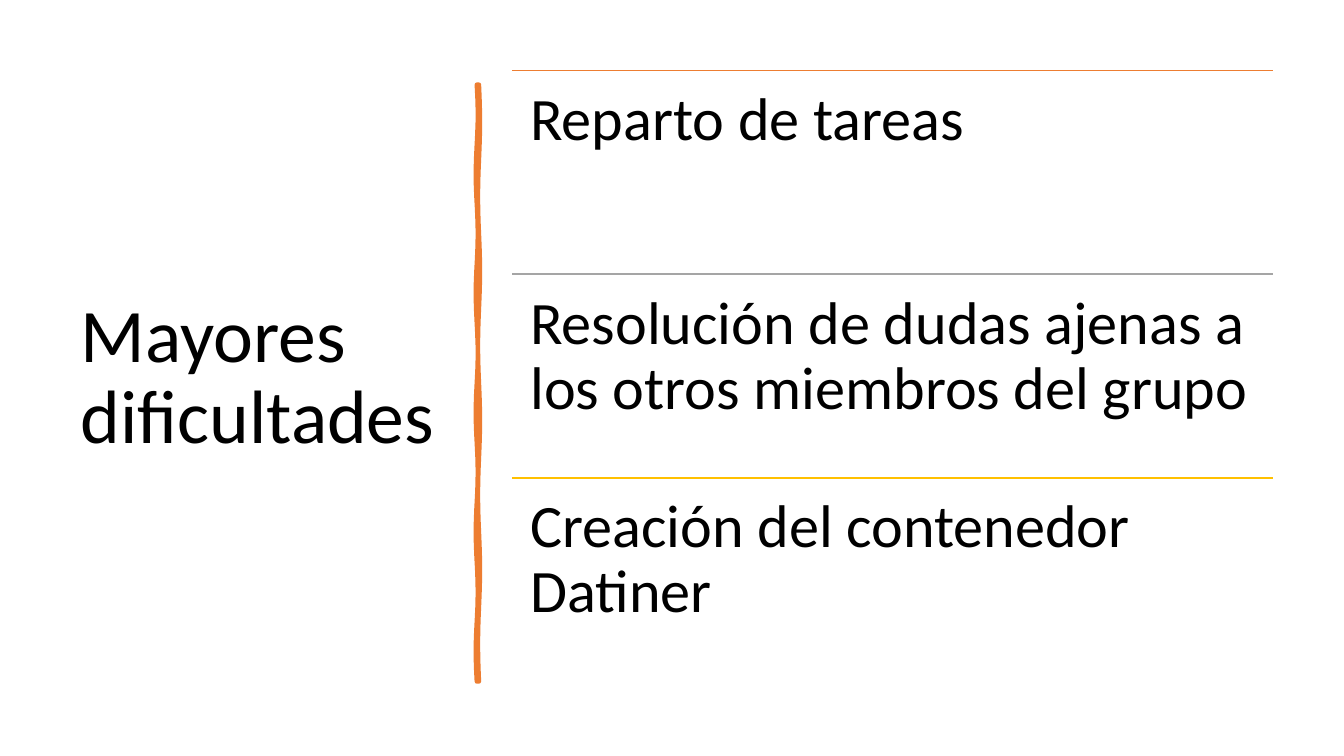
"""Build the slide on the main difficulties of the project."""
from math import pi, sin

from lxml import etree
from pptx import Presentation
from pptx.dml.color import RGBColor
from pptx.enum.shapes import MSO_CONNECTOR
from pptx.enum.text import MSO_ANCHOR, MSO_AUTO_SIZE, PP_ALIGN
from pptx.oxml.ns import qn
from pptx.util import Inches, Pt

STRAIGHT = MSO_CONNECTOR.STRAIGHT
TOP, MIDDLE = MSO_ANCHOR.TOP, MSO_ANCHOR.MIDDLE
LEFT = PP_ALIGN.LEFT
NO_AUTOFIT = MSO_AUTO_SIZE.NONE

TITLE = "Mayores dificultades"
DIFFICULTIES = [
    ("Reparto de tareas", "orange"),
    ("Resolución de dudas ajenas a los otros miembros del grupo", "grey"),
    ("Creación del contenedor Datiner", "yellow"),
]

THEME = {
    "font": "Calibri", "title_size": 54, "item_size": 43, "line_spacing": 0.9,
    "divider_width": 3.25, "rule_width": 1.25,
    "black": RGBColor.from_string("000000"),
    "orange": RGBColor.from_string("ED7D31"),
    "grey": RGBColor.from_string("A5A5A5"),
    "yellow": RGBColor.from_string("FFC000"),
}

SLIDE_WIDTH, SLIDE_HEIGHT = 13.33, 7.5
TITLE_AREA = (0.7, 0.7, 3.74, 6.11)
TITLE_INSET, ITEM_INSET = 0.1, 0.18
LIST_LEFT, LIST_TOP, LIST_WIDTH, LIST_HEIGHT = 5.08, 0.7, 7.55, 6.06
ROW_HEIGHT = LIST_HEIGHT / len(DIFFICULTIES)

DIVIDER_CENTER, DIVIDER_TOP, DIVIDER_HEIGHT = 4.74, 0.84, 5.92
DIVIDER_HALF_WIDTH, WOBBLE = 0.01, 0.01
DIVIDER_STEPS, RIGHT_WAVES, LEFT_WAVES = 48, 4, 5


def wavy_edge(offset, waves):
    """Return the points of one divider edge, from top to bottom."""
    shares = [step / DIVIDER_STEPS for step in range(DIVIDER_STEPS + 1)]
    return [
        (Inches(DIVIDER_CENTER + offset + WOBBLE * sin(2 * pi * waves * share)),
         Inches(DIVIDER_TOP + DIVIDER_HEIGHT * share))
        for share in shares
    ]


def add_divider(page):
    """Draw the upright stroke between the title and the list."""
    right_edge = wavy_edge(DIVIDER_HALF_WIDTH, RIGHT_WAVES)
    left_edge = wavy_edge(-DIVIDER_HALF_WIDTH, LEFT_WAVES)
    outline = right_edge + left_edge[::-1]
    builder = page.shapes.build_freeform(*outline[0])
    builder.add_line_segments(outline[1:], close=True)
    divider = builder.convert_to_shape()
    divider.shadow.inherit = False
    divider.fill.solid()
    divider.fill.fore_color.rgb = THEME["orange"]
    divider.line.color.rgb = THEME["orange"]
    divider.line.width = Pt(THEME["divider_width"])
    etree.SubElement(divider.element.spPr.find(qn("a:ln")), qn("a:round"))


def add_rule(page, top, color_name):
    """Draw the thin line above one list row."""
    left, right = Inches(LIST_LEFT), Inches(LIST_LEFT + LIST_WIDTH)
    rule = page.shapes.add_connector(STRAIGHT, left, Inches(top), right, Inches(top))
    rule.line.color.rgb = THEME[color_name]
    rule.line.width = Pt(THEME["rule_width"])
    etree.SubElement(rule.element.spPr, qn("a:effectLst"))


def write(box, text, size, anchor, inset_x, inset_y):
    """Fill a box with one left-aligned paragraph."""
    frame = box.text_frame
    frame.word_wrap = True
    frame.auto_size = NO_AUTOFIT
    frame.vertical_anchor = anchor
    frame.margin_left = frame.margin_right = Inches(inset_x)
    frame.margin_top = frame.margin_bottom = Inches(inset_y)
    para = frame.paragraphs[0]
    para.alignment = LEFT
    para.line_spacing = THEME["line_spacing"]
    span = para.add_run()
    span.text = text
    span.font.name = THEME["font"]
    span.font.size = Pt(size)
    span.font.color.rgb = THEME["black"]


def add_title(page):
    """Move the title placeholder to the left column and fill it."""
    title = page.shapes.title
    title.left, title.top, title.width, title.height = map(Inches, TITLE_AREA)
    write(title, TITLE, THEME["title_size"], MIDDLE, TITLE_INSET, TITLE_INSET / 2)


def add_difficulties(page):
    """Stack the difficulties in equal rows, each under its own rule."""
    for row, (difficulty, color_name) in enumerate(DIFFICULTIES):
        top = LIST_TOP + row * ROW_HEIGHT
        add_rule(page, top, color_name)
        area = map(Inches, (LIST_LEFT, top, LIST_WIDTH, ROW_HEIGHT))
        box = page.shapes.add_textbox(*area)
        write(box, difficulty, THEME["item_size"], TOP, ITEM_INSET, ITEM_INSET)


deck = Presentation()
deck.slide_width, deck.slide_height = Inches(SLIDE_WIDTH), Inches(SLIDE_HEIGHT)
page = deck.slides.add_slide(deck.slide_layouts.get_by_name("Title Only"))
add_title(page)
add_divider(page)
add_difficulties(page)
deck.save("out.pptx")
